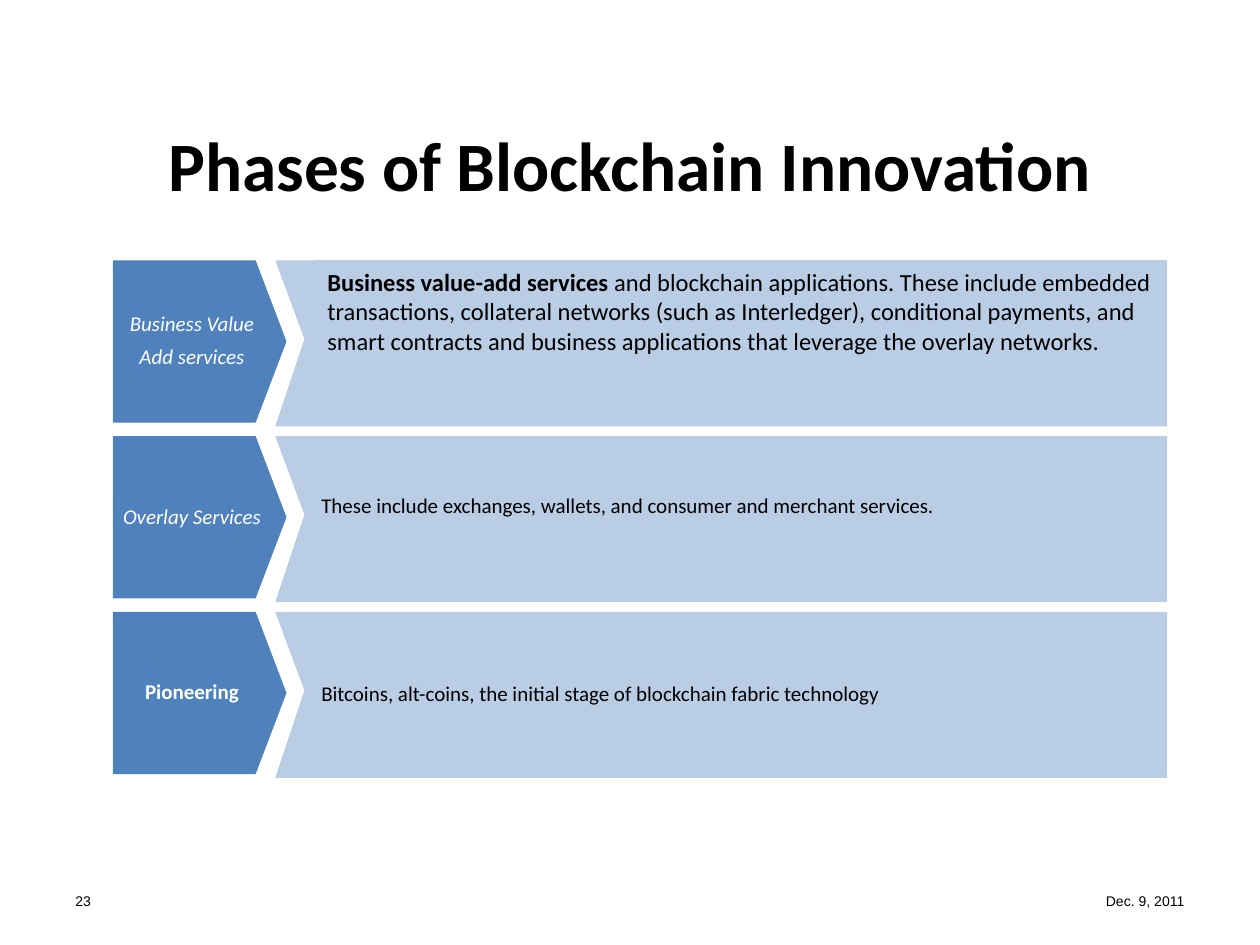
"""Builds the slide on the phases of blockchain innovation."""
import pptx
import pptx.util
import pptx.dml.color
import pptx.enum.shapes
import pptx.enum.text

Inches = pptx.util.Inches
Pt = pptx.util.Pt
Align = pptx.enum.text.PP_ALIGN
Anchor = pptx.enum.text.MSO_ANCHOR
Shape = pptx.enum.shapes.MSO_SHAPE

BLUE = pptx.dml.color.RGBColor(0x4F, 0x81, 0xBD)
PALE = pptx.dml.color.RGBColor(0xB9, 0xCD, 0xE5)
BLACK = pptx.dml.color.RGBColor(0, 0, 0)
WHITE = pptx.dml.color.RGBColor(255, 255, 255)

TITLE = "Phases of Blockchain Innovation"
FOOTERS = [(0.5, "23", Align.LEFT), (7.17, "Dec. 9, 2011", Align.RIGHT)]
PHASES = [
    {
        "label": ["Business Value", "Add services"],
        "style": {"italic": True},
        "body": [
            ("Business value-add services", True),
            (" and blockchain applications. These include embedded transactions, "
             "collateral networks (such as Interledger), conditional payments, and "
             "smart contracts and business applications that leverage the overlay "
             "networks.", False),
        ],
        "size": 14, "anchor": Anchor.TOP, "insets": (0.1, 0.05, 0.1, 0.05), "spacing": 1,
    },
    {
        "label": ["Overlay Services"],
        "style": {"italic": True},
        "body": [("These include exchanges, wallets, and consumer and merchant services.", False)],
        "size": 12, "anchor": Anchor.MIDDLE, "insets": (0.05, 0.05, 0.05, 0.25), "spacing": 0.9,
    },
    {
        "label": ["Pioneering"],
        "style": {"bold": True},
        "body": [("Bitcoins, alt-coins, the initial stage of blockchain fabric technology", False)],
        "size": 12, "anchor": Anchor.MIDDLE, "insets": (0.05,) * 4, "spacing": 0.9,
    },
]

TOP, PITCH = 2.07, 1.395
LABEL_LEFT, LABEL_WIDTH, LABEL_HEIGHT = 0.9, 1.37, 1.28
BAND_LEFT, NOTCH, BAND_RIGHT, BAND_HEIGHT = 2.19, 2.42, 9.26, 1.31
BODY_LEFT = 2.5


def paint(shape, color):
    shape.shadow.inherit = False
    shape.fill.solid()
    shape.fill.fore_color.rgb = color
    shape.line.color.rgb = color
    shape.line.width = Pt(0.5)


def set_frame(shape, anchor, insets=(0.1, 0.05, 0.1, 0.05), wrap=True):
    frame = shape.text_frame
    frame.word_wrap = wrap
    frame.vertical_anchor = anchor
    frame.margin_left, frame.margin_top, frame.margin_right, frame.margin_bottom = map(Inches, insets)
    return frame


def add_span(para, text, size, color=BLACK, name="Calibri", bold=False, italic=False):
    span = para.add_run()
    span.text = text
    font = span.font
    font.name, font.size, font.bold, font.italic = name, Pt(size), bold, italic
    font.color.rgb = color


def add_text(page, area, text, align, size, **style):
    box = page.shapes.add_textbox(*map(Inches, area))
    para = set_frame(box, Anchor.MIDDLE).paragraphs[0]
    para.alignment = align
    add_span(para, text, size, **style)


def add_label(page, top, phase):
    label = page.shapes.add_shape(
        Shape.PENTAGON, *map(Inches, (LABEL_LEFT, top, LABEL_WIDTH, LABEL_HEIGHT)))
    label.adjustments[0] = 0.19
    paint(label, BLUE)
    frame = set_frame(label, Anchor.MIDDLE, (0.05,) * 4, wrap=False)
    for index, line in enumerate(phase["label"]):
        para = frame.add_paragraph() if index else frame.paragraphs[0]
        para.alignment = Align.CENTER
        para.line_spacing = 0.9
        para.space_before = Pt(6)
        add_span(para, line, 12, WHITE, **phase["style"])


def add_band(page, top, phase):
    bottom = top + BAND_HEIGHT
    corners = [(NOTCH, top + 0.62), (BAND_LEFT, bottom), (BAND_RIGHT, bottom), (BAND_RIGHT, top)]
    builder = page.shapes.build_freeform(Inches(BAND_LEFT), Inches(top))
    builder.add_line_segments([(Inches(x), Inches(y)) for x, y in corners], close=True)
    paint(builder.convert_to_shape(), PALE)

    body = page.shapes.add_shape(
        Shape.RECTANGLE, *map(Inches, (BODY_LEFT, top, BAND_RIGHT - BODY_LEFT, BAND_HEIGHT)))
    paint(body, PALE)
    para = set_frame(body, phase["anchor"], phase["insets"]).paragraphs[0]
    para.alignment = Align.LEFT
    para.line_spacing = phase["spacing"]
    for text, bold in phase["body"]:
        add_span(para, text, phase["size"], bold=bold)


def main():
    deck = pptx.Presentation()
    deck.slide_width, deck.slide_height = Inches(10), Inches(7.5)
    page = deck.slides.add_slide(deck.slide_layouts[6])
    add_text(page, (0.5, 0.9, 9, 0.8), TITLE, Align.CENTER, 39.6, bold=True)
    for row, phase in enumerate(PHASES):
        top = TOP + row * PITCH
        add_label(page, top, phase)
        add_band(page, top, phase)
    for left, text, align in FOOTERS:
        add_text(page, (left, 6.95, 2.33, 0.4), text, align, 8, name="Arial")
    deck.save("out.pptx")


if __name__ == "__main__":
    main()
